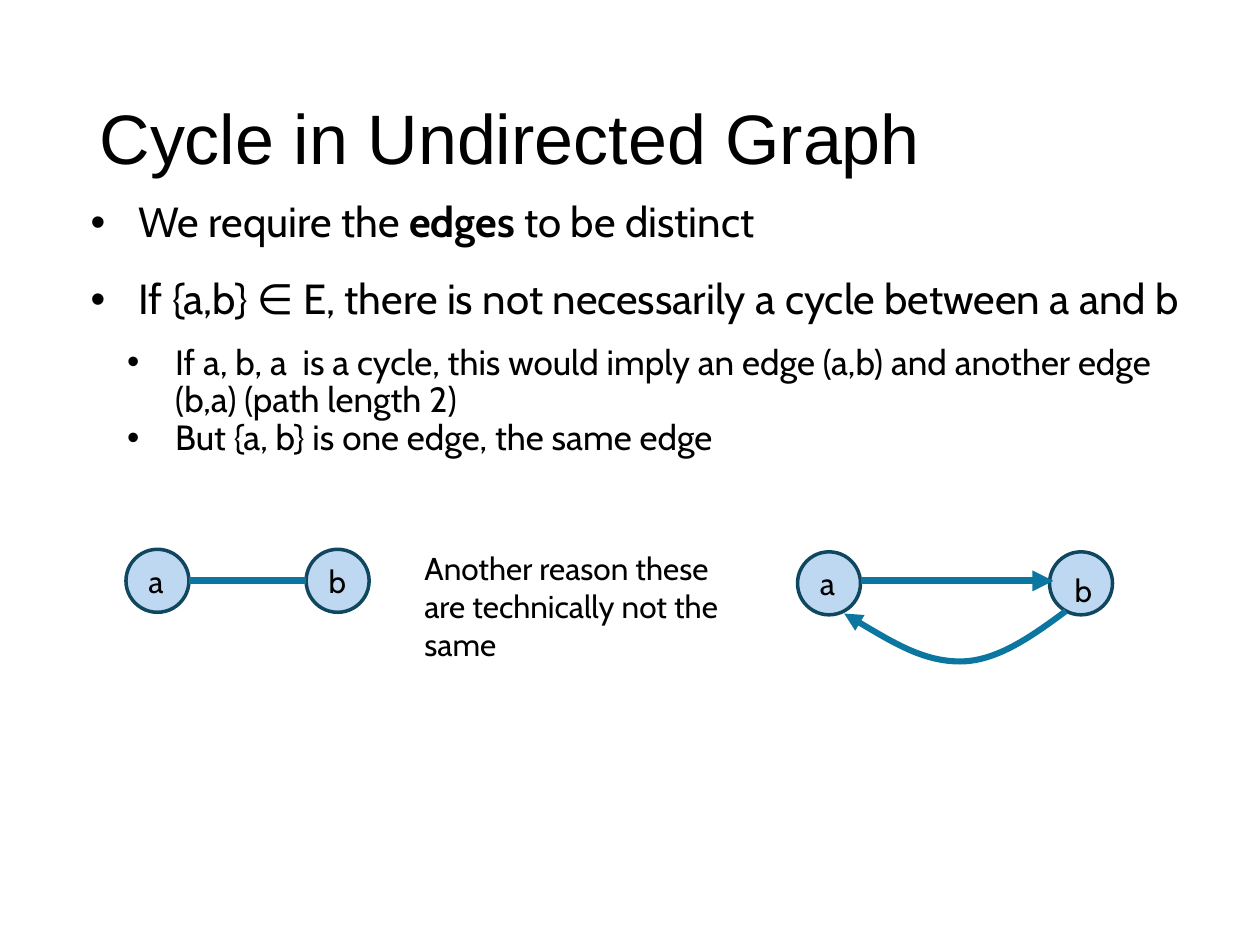
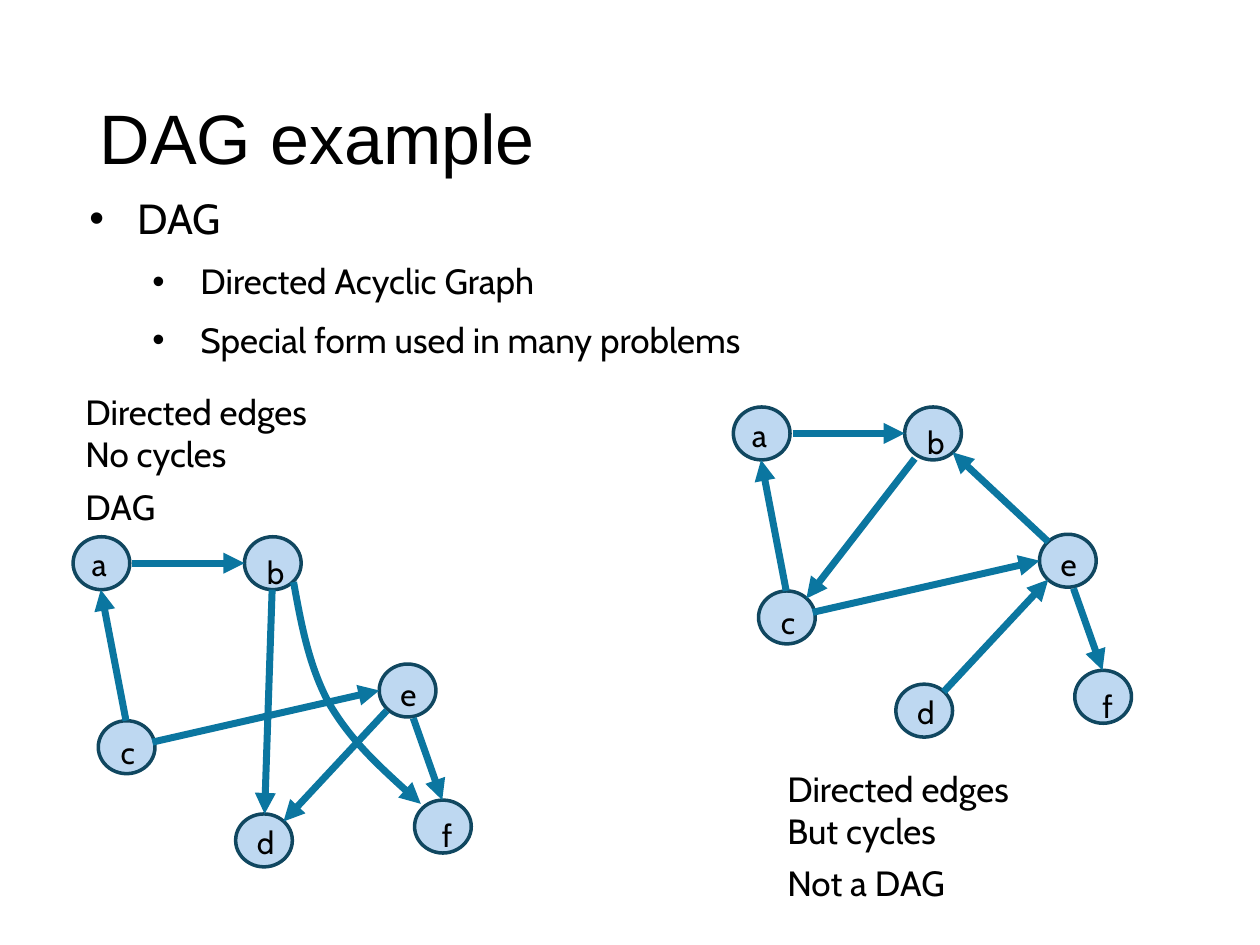
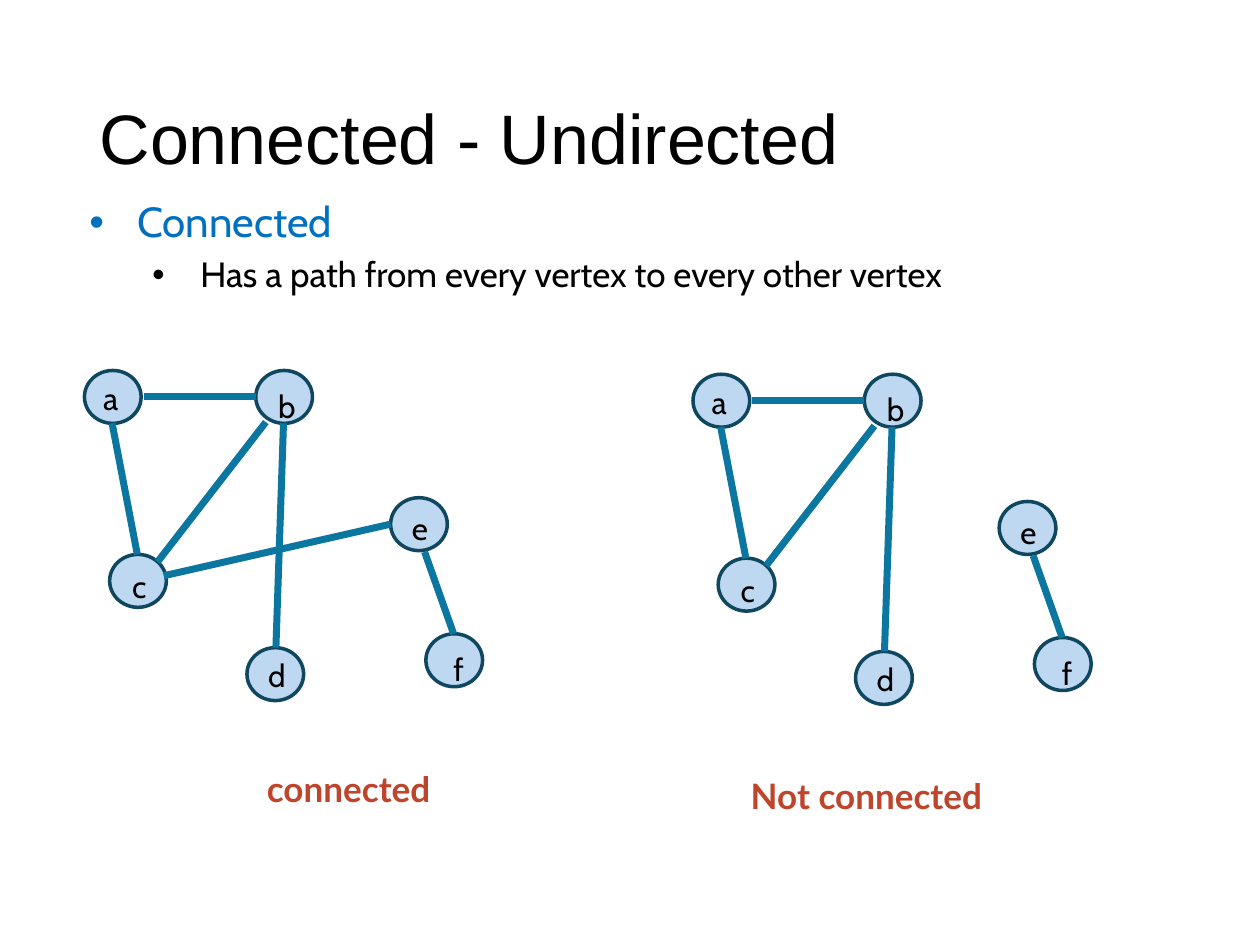
from dataclasses import dataclass, field
from typing import Any

from lxml import etree
from pptx import Presentation
from pptx.dml.color import RGBColor
from pptx.enum.shapes import MSO_CONNECTOR, MSO_SHAPE
from pptx.enum.text import MSO_ANCHOR, MSO_AUTO_SIZE, PP_ALIGN
from pptx.oxml.ns import qn
from pptx.util import Inches, Pt

ELLIPSE = MSO_SHAPE.OVAL
STRAIGHT = MSO_CONNECTOR.STRAIGHT
LEFT = PP_ALIGN.LEFT
TOP, MIDDLE = MSO_ANCHOR.TOP, MSO_ANCHOR.MIDDLE
NO_FIT, GROW = MSO_AUTO_SIZE.NONE, MSO_AUTO_SIZE.SHAPE_TO_FIT_TEXT

Point = tuple[float, float]
Box = tuple[float, float, float, float]


@dataclass(frozen=True)
class Theme:
    text: str = "000000"
    term: str = "0070C0"
    verdict: str = "BE442C"
    node_fill: str = "71AAE0"
    node_opacity: int = 45
    node_line: str = "104760"
    edge: str = "0B76A0"
    title_font: str = "Arial"
    body_font: str = "Cabin"
    verdict_font: str = "Lato"
    title_size: int = 40
    bullet_size: int = 24
    detail_size: int = 20
    label_size: int = 18
    node_width: int = 2
    edge_width: float = 4
    line_spacing: float = 0.9


THEME = Theme()
TITLE_BOX = (0.69, 0.4, 8.62, 1.45)
HANGING = 0.38


@dataclass(frozen=True)
class Bullet:
    text: str
    level: int = 0
    indent: float = 0.49
    before: int = 0
    after: int = 0
    color: str = THEME.text
    bold_word: str = ""


@dataclass(frozen=True)
class Node:
    label: str
    place: Point
    label_shift: Point


@dataclass(frozen=True)
class Edge:
    start: Point
    end: Point


@dataclass(frozen=True)
class Curve:
    """Cubic curve: a start point, then three points for each part."""
    points: list[Point]
    width: float = THEME.edge_width


@dataclass(frozen=True)
class Graph:
    origin: Point
    nodes: list[Node]
    edges: list[Edge]
    node_size: Point
    label_width: float
    directed: bool = False
    curves: list[Curve] = field(default_factory=list)


@dataclass(frozen=True)
class Caption:
    lines: list[str]
    box: Box
    size: int = THEME.detail_size
    font: str = THEME.body_font
    color: str = THEME.text
    bold: bool = False


@dataclass(frozen=True)
class GraphSlide:
    title: str
    body_box: Box
    bullets: list[Bullet]
    graphs: list[Graph]
    captions: list[Caption]


SIX_NODES = [
    Node("a", (0, 0), (0.05, 0.02)),
    Node("b", (1.36, 0), (0.08, 0.08)),
    Node("c", (0.2, 1.46), (0.08, 0.05)),
    Node("d", (1.29, 2.2), (0.07, 0.02)),
    Node("e", (2.43, 1.01), (0.07, 0.04)),
    Node("f", (2.71, 2.09), (0.12, 0.08)),
]
SIX_NODE_EDGES = {
    "ab": Edge((0.47, 0.21), (1.36, 0.21)),
    "ca": Edge((0.42, 1.46), (0.22, 0.42)),
    "ce": Edge((0.63, 1.63), (2.43, 1.22)),
    "bc": Edge((1.44, 0.41), (0.58, 1.52)),
    "bd": Edge((1.58, 0.42), (1.52, 2.2)),
    "de": Edge((1.67, 2.26), (2.5, 1.37)),
    "ed": Edge((2.49, 1.38), (1.67, 2.26)),
    "eb": Edge((2.5, 1.07), (1.74, 0.36)),
    "ef": Edge((2.7, 1.44), (2.93, 2.09)),
}


def six_node_graph(origin: Point, edge_names: str, directed: bool = False,
                   curves: list[Curve] | None = None) -> Graph:
    edges = [SIX_NODE_EDGES[name] for name in edge_names.split()]
    return Graph(origin, SIX_NODES, edges, (0.45, 0.42), 0.3, directed, curves or [])


def two_node_graph(origin: Point, distance: float, b_shift: Point, edge: Edge,
                   directed: bool = False, curves: list[Curve] | None = None) -> Graph:
    nodes = [Node("a", (0, 0), (0.08, 0.05)), Node("b", (distance, 0), b_shift)]
    return Graph(origin, nodes, [edge], (0.5, 0.5), 0.33, directed, curves or [])


SLIDES = [
    GraphSlide(
        "Cycle in Undirected Graph",
        (0.51, 1.55, 9, 5.23),
        [
            Bullet("We require the edges to be distinct", after=12, bold_word="edges"),
            Bullet("If {a,b} ∈ E, there is not necessarily a cycle between a and b",
                   before=6, after=12),
            Bullet("If a, b, a  is a cycle, this would imply an edge (a,b) and another "
                   "edge (b,a) (path length 2)", 1, 0.78),
            Bullet("But {a, b} is one edge, the same edge", 1, 0.78),
        ],
        [
            two_node_graph((1, 4.36), 1.43, (0.08, 0.05), Edge((0.5, 0.25), (1.43, 0.25))),
            two_node_graph(
                (6.33, 4.38), 2, (0.1, 0.1), Edge((0.5, 0.23), (2.03, 0.23)), True,
                [Curve([(2.13, 0.47), (1.86, 0.67), (1.58, 0.87), (1.29, 0.87),
                        (1, 0.87), (0.69, 0.68), (0.37, 0.49)], 3.5)]),
        ],
        [Caption(["Another reason these are technically not the same"],
                 (3.27, 4.31, 2.83, 1.01), THEME.label_size)],
    ),
    GraphSlide(
        "DAG example",
        (0.5, 1.52, 9, 5.23),
        [
            Bullet("DAG", after=6),
            Bullet("Directed Acyclic Graph", 1, 0.99, 6, 6),
            Bullet("Special form used in many problems", 1, 0.99, 6),
        ],
        [
            six_node_graph(
                (0.58, 4.26), "ab ca ce bd ef ed", True,
                [Curve([(1.75, 0.36), (1.81, 0.69), (1.87, 1.02), (2.03, 1.32),
                        (2.2, 1.61), (2.48, 1.87), (2.76, 2.12)])]),
            six_node_graph((5.82, 3.23), "ab bc ce de ef eb ca", True),
        ],
        [
            Caption(["Directed edges", "No cycles", "DAG"], (0.58, 3.05, 3.07, 1.19)),
            Caption(["Directed edges", "But cycles", "Not a DAG"], (6.15, 6.04, 2.31, 1.19)),
        ],
    ),
    GraphSlide(
        "Connected - Undirected",
        (0.5, 1.55, 9, 5.06),
        [
            Bullet("Connected", after=6, color=THEME.term),
            Bullet("Has a path from every vertex to every other vertex", 1, 0.99),
        ],
        [
            six_node_graph((0.67, 2.94), "ab ca ce bd ef bc"),
            six_node_graph((5.5, 2.97), "ab ca bd ef bc"),
        ],
        [
            Caption([text], box, font=THEME.verdict_font, color=THEME.verdict, bold=True)
            for text, box in [("connected", (2.02, 6.04, 2.01, 0.44)),
                              ("Not connected", (5.86, 6.1, 2.31, 0.44))]
        ],
    ),
]


def set_values(target: Any, **values: Any) -> None:
    for name, value in values.items():
        setattr(target, name, value)


def place(shape: Any, box: Box) -> None:
    set_values(shape, **dict(zip(("left", "top", "width", "height"), map(Inches, box))))


def shifted(point: Point, origin: Point) -> Point:
    return point[0] + origin[0], point[1] + origin[1]


def add_run(paragraph: Any, text: str, size: int, font: str = THEME.body_font,
            color: str = THEME.text, bold: bool = False) -> None:
    run = paragraph.add_run()
    run.text = text
    set_values(run.font, size=Pt(size), name=font, bold=bold)
    run.font.color.rgb = RGBColor.from_string(color)


def add_title(slide: Any, text: str) -> None:
    title = slide.shapes.title
    place(title, TITLE_BOX)
    set_values(title.text_frame, vertical_anchor=MIDDLE, auto_size=NO_FIT, word_wrap=True)
    paragraph = title.text_frame.paragraphs[0]
    set_values(paragraph, alignment=LEFT, line_spacing=THEME.line_spacing)
    add_run(paragraph, text, THEME.title_size, THEME.title_font)


def add_bullet(paragraph: Any, bullet: Bullet) -> None:
    properties = paragraph._p.get_or_add_pPr()
    properties.set("marL", str(Inches(bullet.indent)))
    properties.set("indent", str(Inches(-HANGING)))
    etree.SubElement(properties, qn("a:buFont"), typeface="Arial")
    etree.SubElement(properties, qn("a:buChar"), char="•")
    set_values(paragraph, level=bullet.level, alignment=LEFT,
               line_spacing=THEME.line_spacing,
               space_before=Pt(bullet.before), space_after=Pt(bullet.after))
    size = THEME.detail_size if bullet.level else THEME.bullet_size
    pieces = [bullet.text]
    if bullet.bold_word:
        pieces = list(bullet.text.partition(bullet.bold_word))
    for piece in pieces:
        add_run(paragraph, piece, size, color=bullet.color, bold=piece == bullet.bold_word)


def add_body(slide: Any, box: Box, bullets: list[Bullet]) -> None:
    body = slide.placeholders[1]
    place(body, box)
    frame = body.text_frame
    set_values(frame, vertical_anchor=TOP, auto_size=NO_FIT, word_wrap=True)
    for index, bullet in enumerate(bullets):
        add_bullet(frame.add_paragraph() if index else frame.paragraphs[0], bullet)


def add_caption(shapes: Any, caption: Caption) -> None:
    frame = shapes.add_textbox(*map(Inches, caption.box)).text_frame
    set_values(frame, word_wrap=True, auto_size=GROW)
    for index, line in enumerate(caption.lines):
        paragraph = frame.add_paragraph() if index else frame.paragraphs[0]
        if index:
            paragraph.space_after = Pt(6)
        add_run(paragraph, line, caption.size, caption.font, caption.color, caption.bold)


def style_line(shape: Any, color: str, width: float, arrow: bool = False) -> None:
    shape.line.color.rgb = RGBColor.from_string(color)
    shape.line.width = Pt(width)
    if arrow:
        line = shape._element.spPr.find(qn("a:ln"))
        etree.SubElement(line, qn("a:tailEnd"), type="triangle")


def add_node(shapes: Any, node: Node, graph: Graph) -> None:
    corner = shifted(node.place, graph.origin)
    circle = shapes.add_shape(ELLIPSE, *map(Inches, corner + graph.node_size))
    circle.shadow.inherit = False
    circle.fill.solid()
    circle.fill.fore_color.rgb = RGBColor.from_string(THEME.node_fill)
    color = circle._element.spPr.find(f"{qn('a:solidFill')}/{qn('a:srgbClr')}")
    etree.SubElement(color, qn("a:alpha"), val=str(THEME.node_opacity * 1000))
    style_line(circle, THEME.node_line, THEME.node_width)
    label_box = shifted(corner, node.label_shift) + (graph.label_width, 0.4)
    add_caption(shapes, Caption([node.label], label_box, THEME.label_size))


def add_edge(shapes: Any, edge: Edge, graph: Graph) -> None:
    ends = shifted(edge.start, graph.origin) + shifted(edge.end, graph.origin)
    connector = shapes.add_connector(STRAIGHT, *map(Inches, ends))
    style_line(connector, THEME.edge, THEME.edge_width, graph.directed)
    etree.SubElement(connector._element.spPr, qn("a:effectLst"))


def add_curve(shapes: Any, curve: Curve, graph: Graph) -> None:
    points = [tuple(map(Inches, shifted(point, graph.origin))) for point in curve.points]
    builder = shapes.build_freeform(*points[0])
    builder.add_line_segments(points[1:], close=False)
    shape = builder.convert_to_shape()
    shape.shadow.inherit = False
    shape.fill.background()
    style_line(shape, THEME.edge, curve.width, graph.directed)
    segments = list(shape._element.iter(qn("a:lnTo")))
    outline = segments[0].getparent()
    for first in range(0, len(segments), 3):
        bezier = etree.SubElement(outline, qn("a:cubicBezTo"))
        for segment in segments[first:first + 3]:
            bezier.append(segment[0])
            outline.remove(segment)


def add_graph(slide: Any, graph: Graph) -> None:
    shapes = slide.shapes.add_group_shape().shapes
    for node in graph.nodes:
        add_node(shapes, node, graph)
    for edge in graph.edges:
        add_edge(shapes, edge, graph)
    for curve in graph.curves:
        add_curve(shapes, curve, graph)


def add_graph_slide(presentation: Any, content: GraphSlide) -> None:
    slide = presentation.slides.add_slide(presentation.slide_layouts[1])
    add_title(slide, content.title)
    add_body(slide, content.body_box, content.bullets)
    for graph in content.graphs:
        add_graph(slide, graph)
    for caption in content.captions:
        add_caption(slide.shapes, caption)


def main() -> None:
    presentation = Presentation()
    set_values(presentation, slide_width=Inches(10), slide_height=Inches(7.5))
    for content in SLIDES:
        add_graph_slide(presentation, content)
    presentation.save("out.pptx")


if __name__ == "__main__":
    main()
